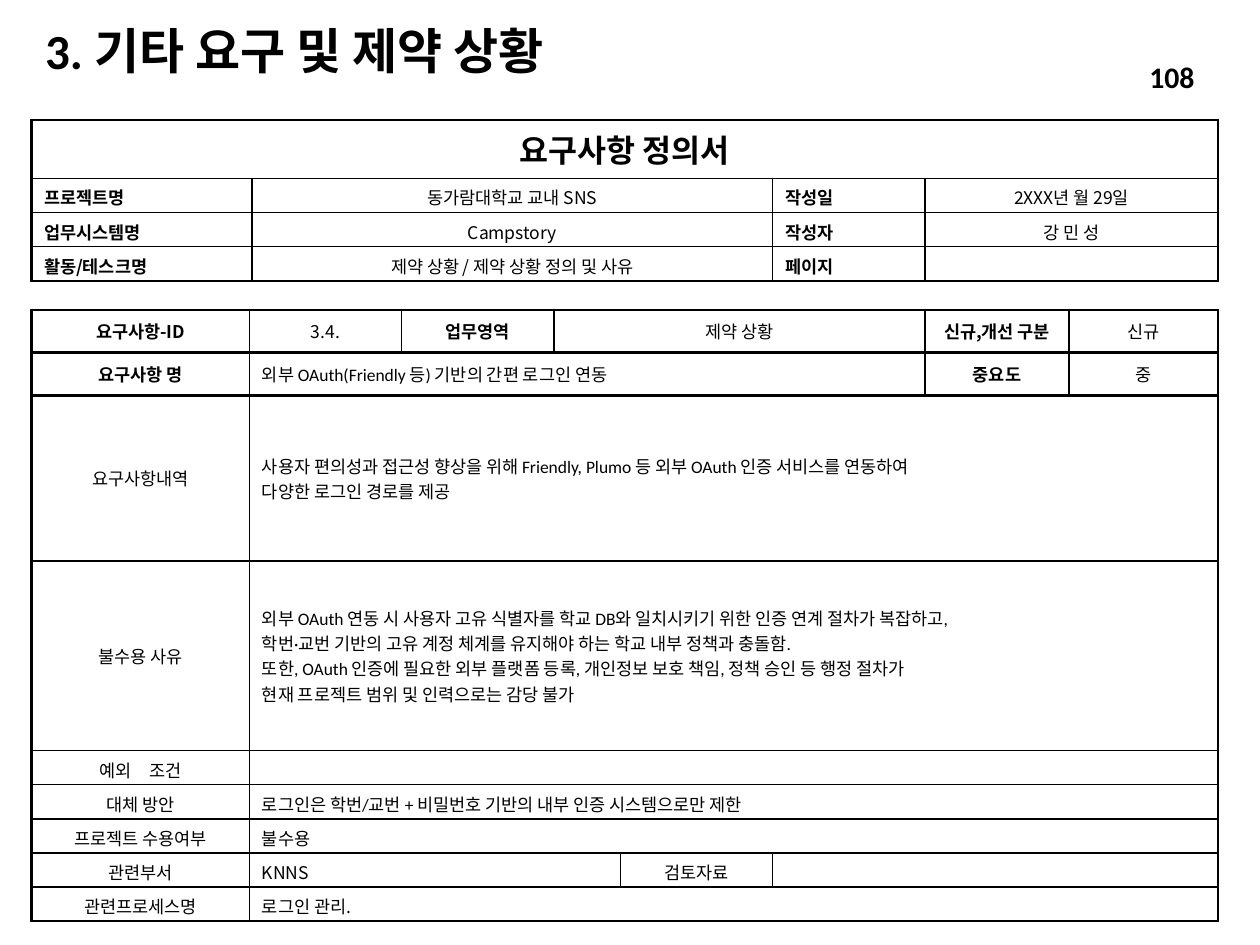
from dataclasses import dataclass

from lxml import etree
from pptx import Presentation
from pptx.dml.color import RGBColor
from pptx.enum.text import MSO_ANCHOR, PP_ALIGN
from pptx.oxml.ns import qn
from pptx.util import Pt

LEFT, CENTER, RIGHT, JUSTIFY = PP_ALIGN.LEFT, PP_ALIGN.CENTER, PP_ALIGN.RIGHT, PP_ALIGN.JUSTIFY
TOP, MIDDLE = MSO_ANCHOR.TOP, MSO_ANCHOR.MIDDLE


@dataclass(frozen=True)
class Style:
    """Typeface, size, weight and alignment of one kind of text."""
    typeface: str
    size: float
    bold: bool
    align: PP_ALIGN


@dataclass(frozen=True)
class Theme:
    """Colours, line widths and text styles of the slide."""
    ink: RGBColor = RGBColor(0, 0, 0)
    korean: str = "Noto Sans CJK KR"
    thin: float = 1
    heavy: float = 1.5
    title: Style = Style("Calibri", 28, True, LEFT)
    page: Style = Style("Calibri", 17, True, RIGHT)
    form_title: Style = Style("Noto Sans CJK KR", 18, True, CENTER)
    field: Style = Style("Noto Sans CJK KR", 10, True, JUSTIFY)
    heading: Style = Style("Noto Sans CJK KR", 10, True, CENTER)
    value: Style = Style("Noto Sans CJK KR", 10, False, CENTER)
    note: Style = Style("Noto Sans CJK KR", 10, False, LEFT)
    body: Style = Style("Calibri", 10, False, LEFT)


@dataclass(frozen=True)
class Box:
    """Position and size in points."""
    left: float
    top: float
    width: float
    height: float

    def lengths(self):
        """Return the four measures as lengths."""
        return [Pt(measure) for measure in (self.left, self.top, self.width, self.height)]


THEME = Theme()

SUMMARY_COLUMNS = [126, 297.5, 87, 167.5]
SUMMARY_ROWS = [33.5] + [19.5] * 3
SUMMARY_FIELDS = [
    ("프로젝트명", "동가람대학교 교내 SNS", "작성일", "2XXX년 월 29일"),
    ("업무시스템명", "Campstory", "작성자", "강 민 성"),
    ("활동/테스크명", "제약 상황 / 제약 상황 정의 및 사유", "페이지", ""),
]

REQUIREMENT_COLUMNS = [124.5, 87, 87, 38, 87, 87, 82.5, 85]
REQUIREMENT_ROWS = [24.5, 24.5, 94.5, 108.5] + [19.5] * 5
REQUIREMENT_CELLS = [
    [("요구사항-ID", 1, THEME.heading), ("3.4.", 1, THEME.value),
     ("업무영역", 1, THEME.heading), ("제약 상황", 3, THEME.value),
     ("신규,개선 구분", 1, THEME.heading), ("신규", 1, THEME.value)],
    [("요구사항 명", 1, THEME.heading),
     ("외부 OAuth(Friendly 등) 기반의 간편 로그인 연동", 5, THEME.body),
     ("중요도", 1, THEME.heading), ("중", 1, THEME.value)],
    [("요구사항내역", 1, THEME.value),
     ("사용자 편의성과 접근성 향상을 위해 Friendly, Plumo 등 외부 OAuth 인증 서비스를 연동하여\v"
      "다양한 로그인 경로를 제공", 7, THEME.body)],
    [("불수용 사유", 1, THEME.value),
     ("외부 OAuth 연동 시 사용자 고유 식별자를 학교 DB와 일치시키기 위한 인증 연계 절차가 복잡하고,\v"
      "학번·교번 기반의 고유 계정 체계를 유지해야 하는 학교 내부 정책과 충돌함.\n"
      "또한, OAuth 인증에 필요한 외부 플랫폼 등록, 개인정보 보호 책임, 정책 승인 등 행정 절차가\v"
      "현재 프로젝트 범위 및 인력으로는 감당 불가", 7, THEME.body)],
    [("예외　조건", 1, THEME.value), ("", 7, THEME.note)],
    [("대체 방안", 1, THEME.value),
     ("로그인은 학번/교번 + 비밀번호 기반의 내부 인증 시스템으로만 제한", 7, THEME.body)],
    [("프로젝트 수용여부", 1, THEME.value), ("불수용", 7, THEME.note)],
    [("관련부서", 1, THEME.value), ("KNNS", 3, THEME.note),
     ("검토자료", 1, THEME.value), ("", 3, THEME.note)],
    [("관련프로세스명", 1, THEME.value), ("로그인 관리.", 7, THEME.note)],
]


def write(frame, text, style):
    """Put styled text into a text frame."""
    frame.text = text
    for paragraph in frame.paragraphs:
        paragraph.alignment = style.align
        font = paragraph.font
        font.name, font.size, font.bold = style.typeface, Pt(style.size), style.bold
        font.color.rgb = THEME.ink
        defaults = paragraph._p.pPr.find(qn("a:defRPr"))
        etree.SubElement(defaults, qn("a:ea"), typeface=THEME.korean)
        if not text:
            etree.SubElement(paragraph._p, qn("a:endParaRPr"), sz=str(style.size * 100))


def draw_borders(cell, widths):
    """Rule the left, right, top and bottom edges of a cell."""
    properties = cell._tc.get_or_add_tcPr()
    for position, (edge, width) in enumerate(zip("LRTB", widths)):
        line = etree.Element(qn(f"a:ln{edge}"), w=str(Pt(width)))
        fill = etree.SubElement(line, qn("a:solidFill"))
        etree.SubElement(fill, qn("a:srgbClr"), val=str(THEME.ink))
        properties.insert(position, line)


def add_form(slide, box, columns, rows, entries, heavy_rules, anchors):
    """Build a ruled form from rows of (text, span, style) entries."""
    table = slide.shapes.add_table(len(rows), len(columns), *box.lengths()).table
    table.first_row = table.horz_banding = False
    for column, width in zip(table.columns, columns):
        column.width = Pt(width)
    for row, height in zip(table.rows, rows):
        row.height = Pt(height)
    for cell in table.iter_cells():
        cell.fill.background()
    for row, row_entries in enumerate(entries):
        start = 0
        for text, span, style in row_entries:
            end = start + span
            cell = table.cell(row, start)
            if span > 1:
                cell.merge(table.cell(row, end - 1))
            cell.vertical_anchor = anchors[row]
            write(cell.text_frame, text, style)
            heavy = (start == 0, end == len(columns), row in heavy_rules, row + 1 in heavy_rules)
            draw_borders(cell, [THEME.heavy if edge else THEME.thin for edge in heavy])
            start = end


def add_line_of_text(slide, box, text, style):
    """Place one vertically centred line of text and return its paragraph."""
    frame = slide.shapes.add_textbox(*box.lengths()).text_frame
    frame.word_wrap = True
    frame.vertical_anchor = MIDDLE
    write(frame, text, style)
    return frame.paragraphs[0]


def add_title(slide, box):
    """Place the slide title."""
    add_line_of_text(slide, box, "3. 기타 요구 및 제약 상황", THEME.title).line_spacing = 0.9


def add_page_number(slide, box):
    """Place the page number."""
    add_line_of_text(slide, box, "108", THEME.page)


def add_summary(slide, box):
    """Place the form title with the project fields."""
    styles = [THEME.field, THEME.value] * 2
    entries = [[("요구사항 정의서", 4, THEME.form_title)]]
    entries += [[(text, 1, style) for text, style in zip(fields, styles)] for fields in SUMMARY_FIELDS]
    add_form(slide, box, SUMMARY_COLUMNS, SUMMARY_ROWS, entries, {0, 4}, [MIDDLE] + [TOP] * 3)


def add_requirement(slide, box):
    """Place the details of the requirement."""
    add_form(slide, box, REQUIREMENT_COLUMNS, REQUIREMENT_ROWS, REQUIREMENT_CELLS,
             {0, 1, 2, 9}, [MIDDLE] * len(REQUIREMENT_ROWS))


def main():
    """Build and save the slide."""
    presentation = Presentation()
    presentation.slide_width, presentation.slide_height = Pt(720), Pt(540)
    slide = presentation.slides.add_slide(presentation.slide_layouts[6])
    add_title(slide, Box(18.7, 15, 386, 31.7))
    add_requirement(slide, Box(18, 177, 678.5, 349.5))
    add_summary(slide, Box(18, 68.5, 678, 92))
    add_page_number(slide, Box(573, 29.5, 116.7, 29))
    presentation.save("out.pptx")


if __name__ == "__main__":
    main()
